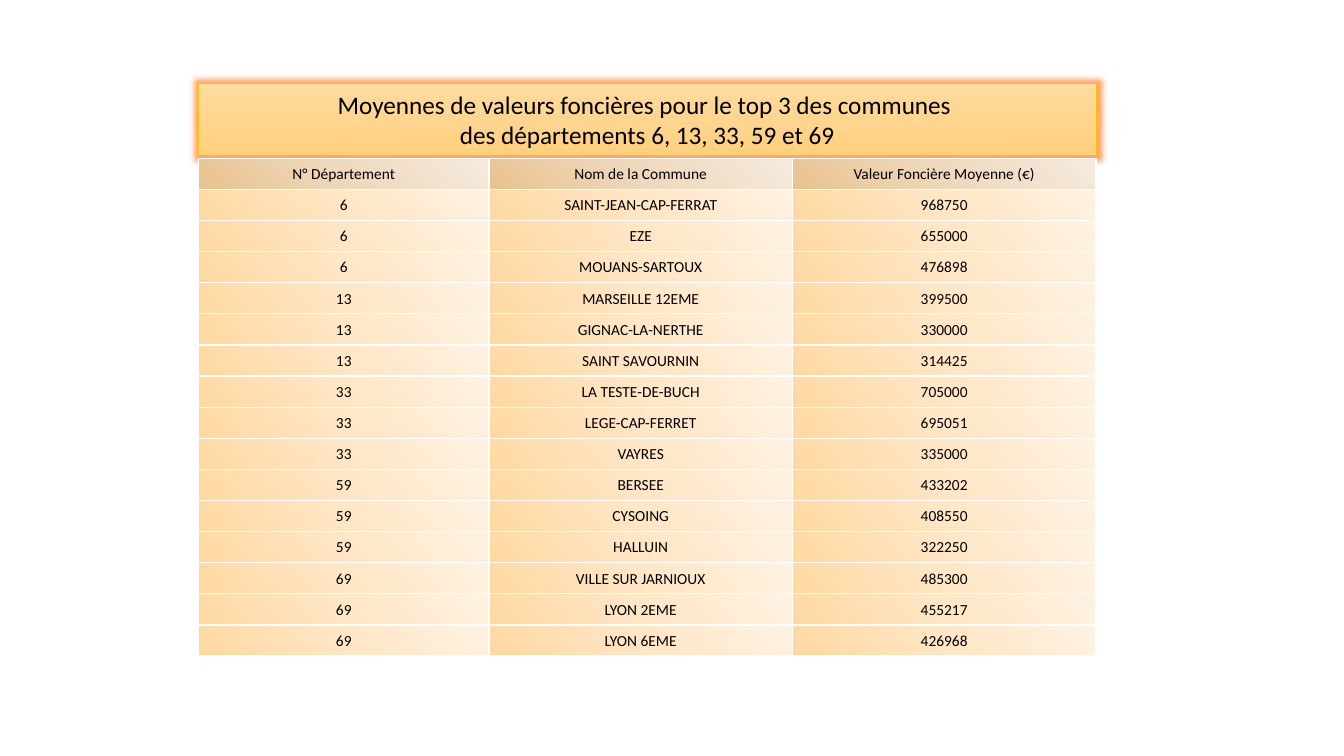
"""Build the slide of average property values by commune."""
from lxml import etree
from pptx import Presentation
from pptx.dml.color import RGBColor
from pptx.enum.text import MSO_ANCHOR, MSO_AUTO_SIZE, PP_ALIGN
from pptx.oxml.ns import qn
from pptx.util import Inches, Pt

CENTER = PP_ALIGN.CENTER
MIDDLE = MSO_ANCHOR.MIDDLE
NO_AUTOFIT = MSO_AUTO_SIZE.NONE
TITLE_ONLY = 5

FONT = "Calibri"
BLACK = RGBColor(0x00, 0x00, 0x00)
WHITE = RGBColor(0xFF, 0xFF, 0xFF)
GOLD = RGBColor(0xFF, 0xC0, 0x00)
GLOW = RGBColor(0xFF, 0x66, 0x00)
TITLE_FILL = [RGBColor(0xFF, 0xDB, 0x9E), RGBColor(0xFF, 0xD5, 0x90), RGBColor(0xFF, 0xD0, 0x7C)]
HEADER_FILL = [RGBColor(0xE9, 0xC2, 0x8F), RGBColor(0xEF, 0xD8, 0xBC), RGBColor(0xF6, 0xEB, 0xDE)]
BODY_FILL = [RGBColor(0xFF, 0xD8, 0xA0), RGBColor(0xFF, 0xE6, 0xC5), RGBColor(0xFF, 0xF2, 0xE3)]

LEFT, WIDTH = 1.97, 8.9
TABLE_TOP, TABLE_HEIGHT = 1.57, 4.94
COLUMN_WIDTHS = [2.88, 3.01, 3.01]

TITLE = (
    "Moyennes de valeurs foncières pour le top 3 des communes \n"
    "des départements 6, 13, 33, 59 et 69"
)
HEADERS = ("N° Département", "Nom de la Commune", "Valeur Foncière Moyenne (€)")
COMMUNES = {
    6: [("SAINT-JEAN-CAP-FERRAT", 968750), ("EZE", 655000), ("MOUANS-SARTOUX", 476898)],
    13: [("MARSEILLE 12EME", 399500), ("GIGNAC-LA-NERTHE", 330000), ("SAINT SAVOURNIN", 314425)],
    33: [("LA TESTE-DE-BUCH", 705000), ("LEGE-CAP-FERRET", 695051), ("VAYRES", 335000)],
    59: [("BERSEE", 433202), ("CYSOING", 408550), ("HALLUIN", 322250)],
    69: [("VILLE SUR JARNIOUX", 485300), ("LYON 2EME", 455217), ("LYON 6EME", 426968)],
}


def add_element(parent, tag, **attributes):
    """Append a DrawingML element and return it."""
    values = {name: str(value) for name, value in attributes.items()}
    return etree.SubElement(parent, qn(tag), values)


def add_gradient(properties, colors, angle):
    """Append a linear gradient with evenly spaced stops."""
    gradient = add_element(properties, "a:gradFill", rotWithShape=1)
    stops = add_element(gradient, "a:gsLst")
    for index, color in enumerate(colors):
        stop = add_element(stops, "a:gs", pos=index * 100000 // (len(colors) - 1))
        add_element(stop, "a:srgbClr", val=color)
    add_element(gradient, "a:lin", ang=angle * 60000, scaled=0)


def add_glow(shape, color, radius, opacity):
    """Surround a shape with a translucent glow."""
    effects = add_element(shape._element.spPr, "a:effectLst")
    glow = add_element(effects, "a:glow", rad=radius)
    tint = add_element(glow, "a:srgbClr", val=color)
    add_element(tint, "a:alpha", val=opacity * 1000)


def add_borders(properties, color, width):
    """Append a solid line for each side of a table cell."""
    for side in ("a:lnL", "a:lnR", "a:lnT", "a:lnB"):
        line = add_element(properties, side, w=width)
        fill = add_element(line, "a:solidFill")
        add_element(fill, "a:srgbClr", val=color)


def format_text(frame, size):
    """Center the text and set its font."""
    for paragraph in frame.paragraphs:
        paragraph.alignment = CENTER
        paragraph.line_spacing = 1.0
        paragraph.space_before = Pt(0)
        for span in paragraph.runs:
            span.font.name = FONT
            span.font.size = Pt(size)
            span.font.bold = False
            span.font.color.rgb = BLACK


def format_title(title):
    """Place the title banner and give it its fill, line and glow."""
    title.left, title.top = Inches(LEFT), Inches(0.83)
    title.width, title.height = Inches(WIDTH), Inches(0.71)
    add_gradient(title._element.spPr, TITLE_FILL, 90)
    title.line.color.rgb = GOLD
    title.line.width = Pt(0.5)
    add_glow(title, GLOW, Inches(0.11), 60)
    frame = title.text_frame
    frame.text = TITLE
    frame.auto_size = NO_AUTOFIT
    frame.word_wrap = True
    frame.vertical_anchor = MIDDLE
    format_text(frame, 18)


def format_cell(cell, text, colors):
    """Fill one table cell."""
    cell.margin_left = cell.margin_right = cell.margin_top = Inches(0.01)
    cell.margin_bottom = 0
    cell.vertical_anchor = MIDDLE
    cell.text_frame.text = str(text)
    format_text(cell.text_frame, 11)
    properties = cell._tc.get_or_add_tcPr()
    add_borders(properties, WHITE, Pt(1))
    add_gradient(properties, colors, 315)


def add_value_table(page):
    """Add the table of communes and average values."""
    rows = [HEADERS]
    for department, communes in COMMUNES.items():
        rows += [(department, name, value) for name, value in communes]
    table = page.shapes.add_table(
        len(rows), len(HEADERS),
        Inches(LEFT), Inches(TABLE_TOP), Inches(WIDTH), Inches(TABLE_HEIGHT),
    ).table
    for column, width in zip(table.columns, COLUMN_WIDTHS):
        column.width = Inches(width)
    for row_index, values in enumerate(rows):
        colors = BODY_FILL if row_index else HEADER_FILL
        for column_index, value in enumerate(values):
            format_cell(table.cell(row_index, column_index), value, colors)


def main():
    """Create and save the deck."""
    deck = Presentation()
    deck.slide_width, deck.slide_height = Inches(13.33), Inches(7.5)
    page = deck.slides.add_slide(deck.slide_layouts[TITLE_ONLY])
    format_title(page.shapes.title)
    add_value_table(page)
    deck.save("out.pptx")


main()
